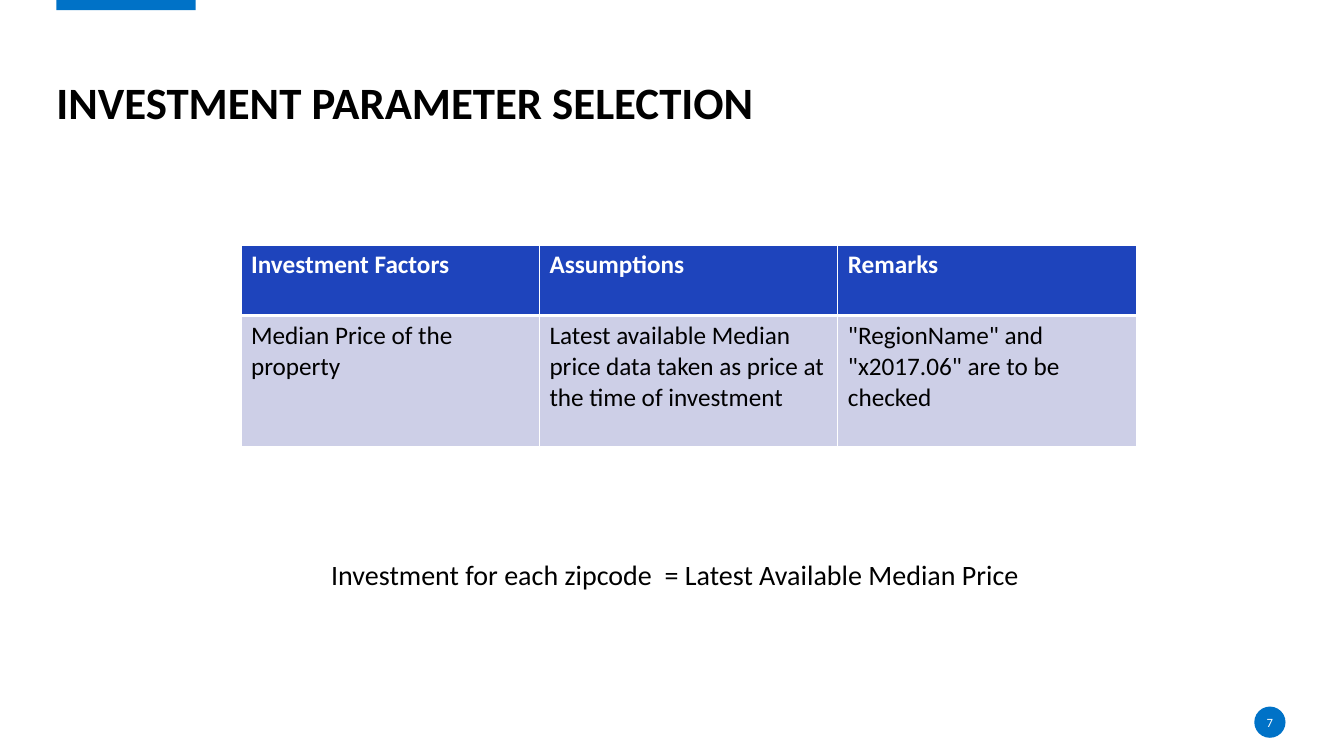
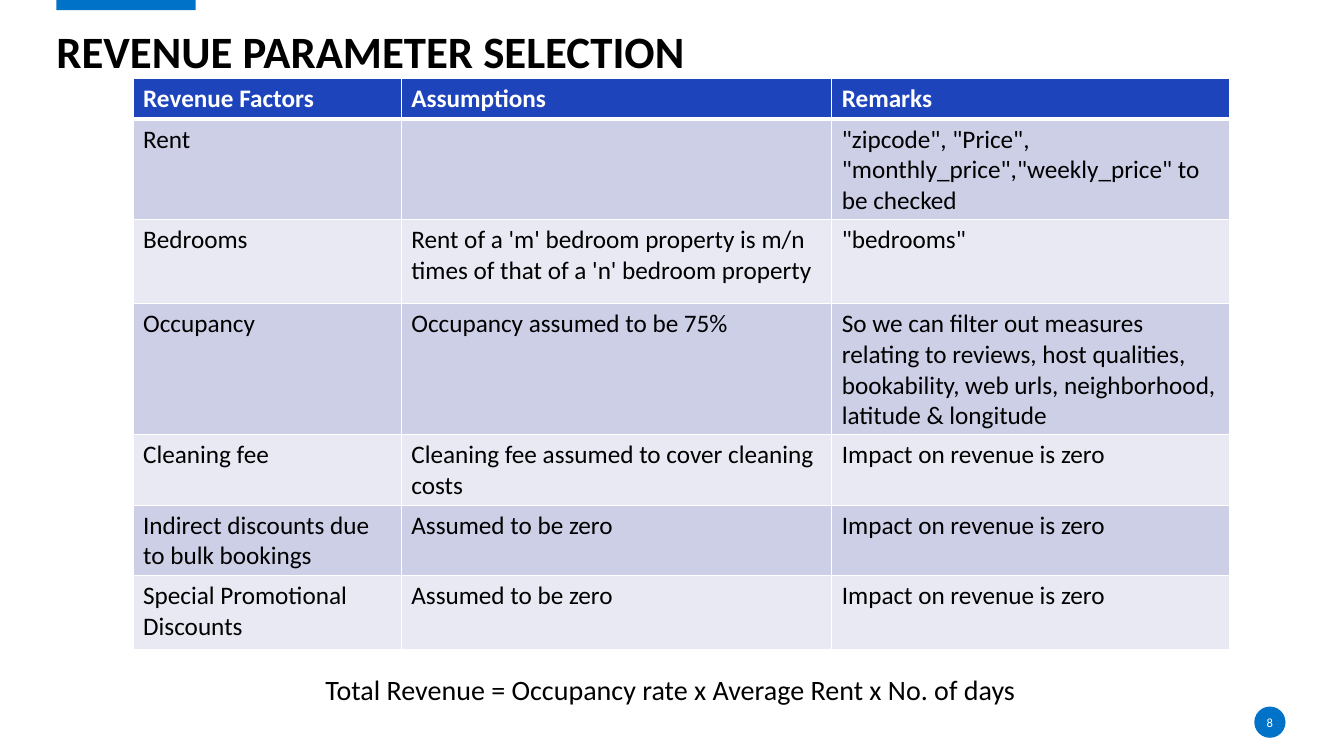
from lxml import etree
from pptx import Presentation
from pptx.dml.color import RGBColor
from pptx.enum.shapes import MSO_SHAPE
from pptx.enum.text import MSO_ANCHOR, MSO_AUTO_SIZE, PP_ALIGN
from pptx.oxml.ns import qn
from pptx.util import Pt

RECTANGLE, OVAL = MSO_SHAPE.RECTANGLE, MSO_SHAPE.OVAL
TOP, MIDDLE, BOTTOM = MSO_ANCHOR.TOP, MSO_ANCHOR.MIDDLE, MSO_ANCHOR.BOTTOM
NO_FIT, GROW = MSO_AUTO_SIZE.NONE, MSO_AUTO_SIZE.SHAPE_TO_FIT_TEXT
LEFT, CENTER = PP_ALIGN.LEFT, PP_ALIGN.CENTER

BLACK = RGBColor(0x00, 0x00, 0x00)
WHITE = RGBColor(0xFF, 0xFF, 0xFF)
ACCENT = RGBColor(0x00, 0x72, 0xC7)
HEADER = RGBColor(0x1E, 0x44, 0xBC)
BANDS = (RGBColor(0xCD, 0xCF, 0xE7), RGBColor(0xE8, 0xE9, 0xF3))

FONT = "Calibri"
EMU_PER_PX = 9144  # 100 px to the inch
MARGIN, CONTENT_WIDTH = 56, 1219
TITLE_ONLY = 5


def px(*lengths):
    return [length * EMU_PER_PX for length in lengths]


def set_attributes(target, values):
    for name, value in values.items():
        setattr(target, name, value)


def set_border(cell, side, points):
    line = etree.SubElement(cell._tc.get_or_add_tcPr(), qn(f"a:ln{side}"), w=str(Pt(points)))
    fill = etree.SubElement(line, qn("a:solidFill"))
    etree.SubElement(fill, qn("a:srgbClr"), val=str(WHITE))


class Deck:
    """Holds the shared style and the page being filled."""

    def __init__(self):
        self.presentation = Presentation()
        width, height = px(1333, 750)
        set_attributes(self.presentation, {"slide_width": width, "slide_height": height})
        self.page = None

    def set_text(self, frame, text, size, color=BLACK, bold=False, align=LEFT):
        frame.text = text
        paragraph = frame.paragraphs[0]
        paragraph.alignment = align
        set_attributes(paragraph.font, {"name": FONT, "size": Pt(size), "bold": bold})
        paragraph.font.color.rgb = color
        return paragraph

    def unpad(self, frame, anchor):
        sides = ("margin_left", "margin_top", "margin_right", "margin_bottom")
        set_attributes(frame, dict.fromkeys(sides, 0))
        set_attributes(frame, {"vertical_anchor": anchor, "word_wrap": True, "auto_size": NO_FIT})

    def add_page(self, number, title, title_top):
        layout = self.presentation.slide_layouts[TITLE_ONLY]
        self.page = self.presentation.slides.add_slide(layout)
        self.shape(RECTANGLE, MARGIN, 0, 138, 10)
        disc = self.shape(OVAL, 1244, 701, 31, 31)
        self.unpad(disc.text_frame, MIDDLE)
        self.set_text(disc.text_frame, str(number), 9, WHITE, align=CENTER)
        self.title(title, title_top)

    def shape(self, kind, *bounds):
        shape = self.page.shapes.add_shape(kind, *px(*bounds))
        shape.shadow.inherit = False
        shape.fill.solid()
        shape.fill.fore_color.rgb = ACCENT
        shape.line.fill.background()
        return shape

    def title(self, text, top):
        box = self.page.shapes.title
        bounds = px(MARGIN, top, CONTENT_WIDTH, 101)
        set_attributes(box, dict(zip(("left", "top", "width", "height"), bounds)))
        self.unpad(box.text_frame, BOTTOM)
        self.set_text(box.text_frame, text, 32, bold=True).line_spacing = 0.9

    def formula(self, text, *bounds):
        frame = self.page.shapes.add_textbox(*px(*bounds)).text_frame
        set_attributes(frame, {"word_wrap": True, "auto_size": GROW, "vertical_anchor": TOP})
        self.set_text(frame, text, 20, align=CENTER)

    def table(self, left, top, widths, heights, rows):
        bounds = px(left, top, sum(widths), sum(heights))
        table = self.page.shapes.add_table(len(rows), len(widths), *bounds).table
        for column, width in zip(table.columns, px(*widths)):
            column.width = width
        for row, height in zip(table.rows, px(*heights)):
            row.height = height
        for row_index, row in enumerate(rows):
            for column_index, text in enumerate(row):
                self.cell(table.cell(row_index, column_index), row_index, text)

    def cell(self, cell, row_index, text):
        is_header = row_index == 0
        borders = {"L": 1, "R": 1, "T": 3 if row_index == 1 else 1, "B": 3 if is_header else 1}
        for side, points in borders.items():
            set_border(cell, side, points)
        cell.fill.solid()
        cell.fill.fore_color.rgb = HEADER if is_header else BANDS[(row_index - 1) % 2]
        self.set_text(cell.text_frame, text, 18, WHITE if is_header else BLACK, is_header)


def main():
    deck = Deck()

    deck.add_page(7, "INVESTMENT PARAMETER SELECTION", 27)
    deck.formula(" Investment for each zipcode  = Latest Available Median Price", 295, 548, 743, 108)
    deck.table(239, 243, [296] * 3, [70, 130], [
        ("Investment Factors", "Assumptions", "Remarks"),
        ("Median Price of the property",
         "Latest available Median price data taken as price at the time of investment",
         '"RegionName" and "x2017.06" are to be checked'),
    ])

    deck.add_page(8, "REVENUE PARAMETER SELECTION", -23)
    deck.formula("Total Revenue = Occupancy rate x Average Rent x No. of days", 188, 662, 954, 44)
    no_impact = "Impact on revenue is zero"
    zero = "Assumed to be zero"
    deck.table(132, 78, [266, 427, 395], [40, 100, 83, 130, 70, 70, 73], [
        ("Revenue Factors", "Assumptions", "Remarks"),
        ("Rent", "", '"zipcode", "Price", "monthly_price","weekly_price" to be checked'),
        ("Bedrooms",
         "Rent of a 'm' bedroom property is m/n times of that of a 'n' bedroom property",
         '"bedrooms"'),
        ("Occupancy", "Occupancy assumed to be 75%",
         "So we can filter out measures relating to reviews, host qualities, "
         "bookability, web urls, neighborhood, latitude & longitude"),
        ("Cleaning fee", "Cleaning fee assumed to cover cleaning costs", no_impact),
        ("Indirect discounts due to bulk bookings", zero, no_impact),
        ("Special Promotional Discounts", zero, no_impact),
    ])

    deck.presentation.save("out.pptx")


if __name__ == "__main__":
    main()
